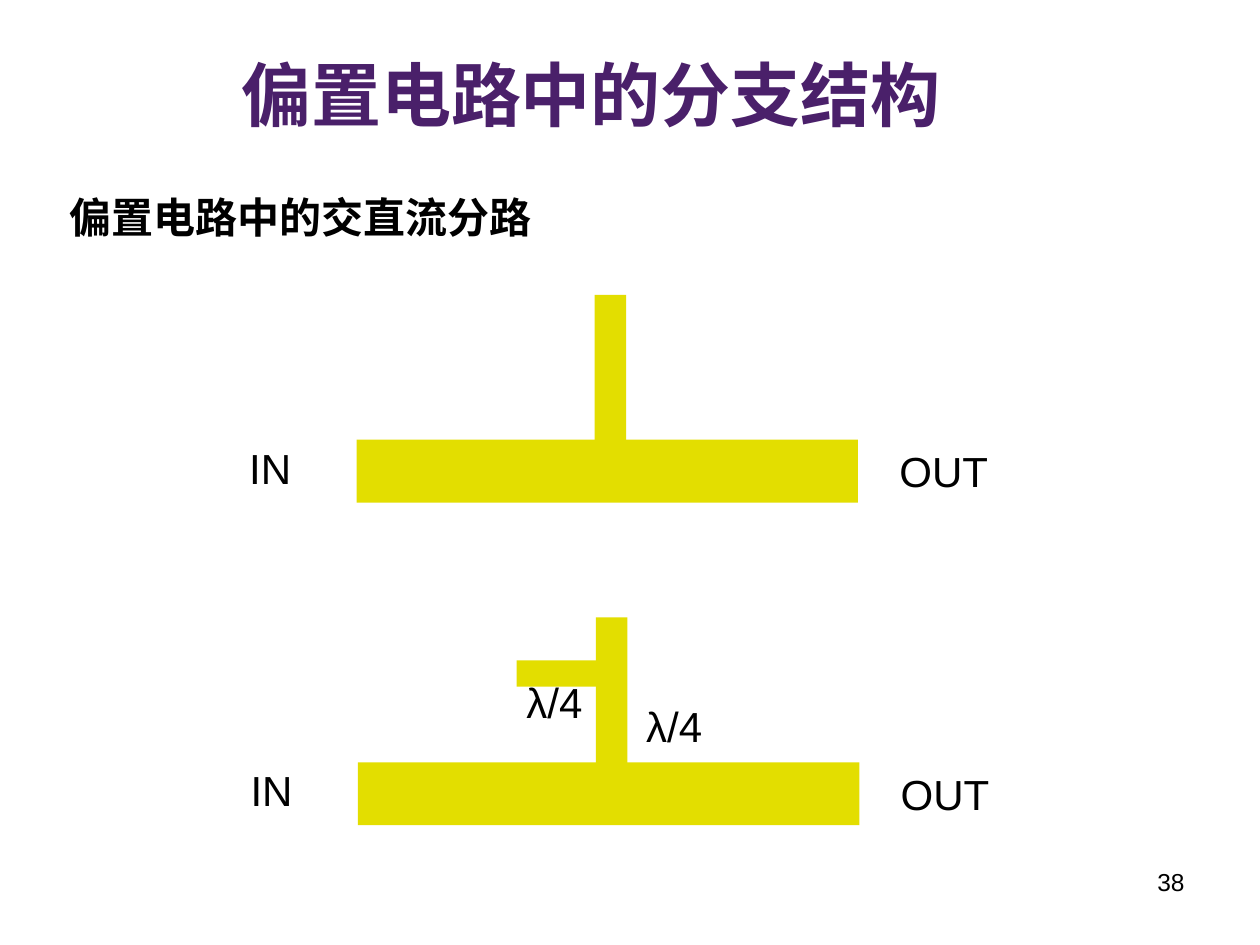
from lxml import etree
from pptx import Presentation
from pptx.dml.color import RGBColor
from pptx.enum.shapes import MSO_SHAPE
from pptx.enum.text import PP_ALIGN
from pptx.oxml.ns import qn
from pptx.util import Inches, Pt

RECT = MSO_SHAPE.RECTANGLE
LEFT, CENTER, RIGHT = PP_ALIGN.LEFT, PP_ALIGN.CENTER, PP_ALIGN.RIGHT
CJK = "Noto Sans CJK SC"
STRIP = "E3DE00"


def color(code):
    return RGBColor.from_string(code)


def add_text(shapes, text, box, size=24, face="Arial", ink="000000",
             bold=False, align=LEFT):
    frame = shapes.add_textbox(*map(Inches, box)).text_frame
    frame.word_wrap = True
    para = frame.paragraphs[0]
    para.alignment = align
    run = para.add_run()
    run.text = text
    font = run.font
    font.size, font.bold, font.name = Pt(size), bold, face
    font.color.rgb = color(ink)
    # East Asian letters take their own typeface
    east = etree.SubElement(run._r.get_or_add_rPr(), qn("a:ea"))
    east.set("typeface", face)


def add_strip(shapes, box):
    bar = shapes.add_shape(RECT, *map(Inches, box))
    bar.shadow.inherit = False
    bar.fill.solid()
    bar.fill.fore_color.rgb = color(STRIP)
    bar.line.fill.background()


def add_header(slide, left, top):
    add_text(slide.shapes, "偏置电路中的分支结构", (left + 0.45, top, 7.58, 0.77),
             size=40, face=CJK, ink="4A206A", bold=True, align=CENTER)
    add_text(slide.shapes, "偏置电路中的交直流分路", (left, top + 1.11, 8.75, 0.5),
             face=CJK, bold=True)


def add_circuit(slide, left, top, stub=False):
    shapes = slide.shapes.add_group_shape().shapes
    # Main line and bias branch
    add_strip(shapes, (left + 0.95, top + 1.15, 3.98, 0.5))
    add_strip(shapes, (left + 2.84, top, 0.25, 1.29))
    # Ports
    add_text(shapes, "IN", (left, top + 1.12, 0.63, 0.5))
    add_text(shapes, "OUT", (left + 5.16, top + 1.15, 0.95, 0.5))
    # Quarter-wave stub
    if stub:
        add_strip(shapes, (left + 2.21, top + 0.34, 0.84, 0.21))
        for dx, dy in ((3.14, 0.61), (2.19, 0.42)):
            add_text(shapes, "λ/4", (left + dx, top + dy, 0.83, 0.5))


def main():
    deck = Presentation()
    deck.slide_width, deck.slide_height = Inches(10), Inches(7.5)
    slide = deck.slides.add_slide(deck.slide_layouts[6])
    add_header(slide, 0.45, 0.36)
    add_circuit(slide, 1.88, 2.34)
    add_circuit(slide, 1.89, 4.9, stub=True)
    # Page number
    add_text(slide.shapes, "38", (7.17, 6.83, 2.33, 0.52), size=14, align=RIGHT)
    deck.save("out.pptx")


if __name__ == "__main__":
    main()
